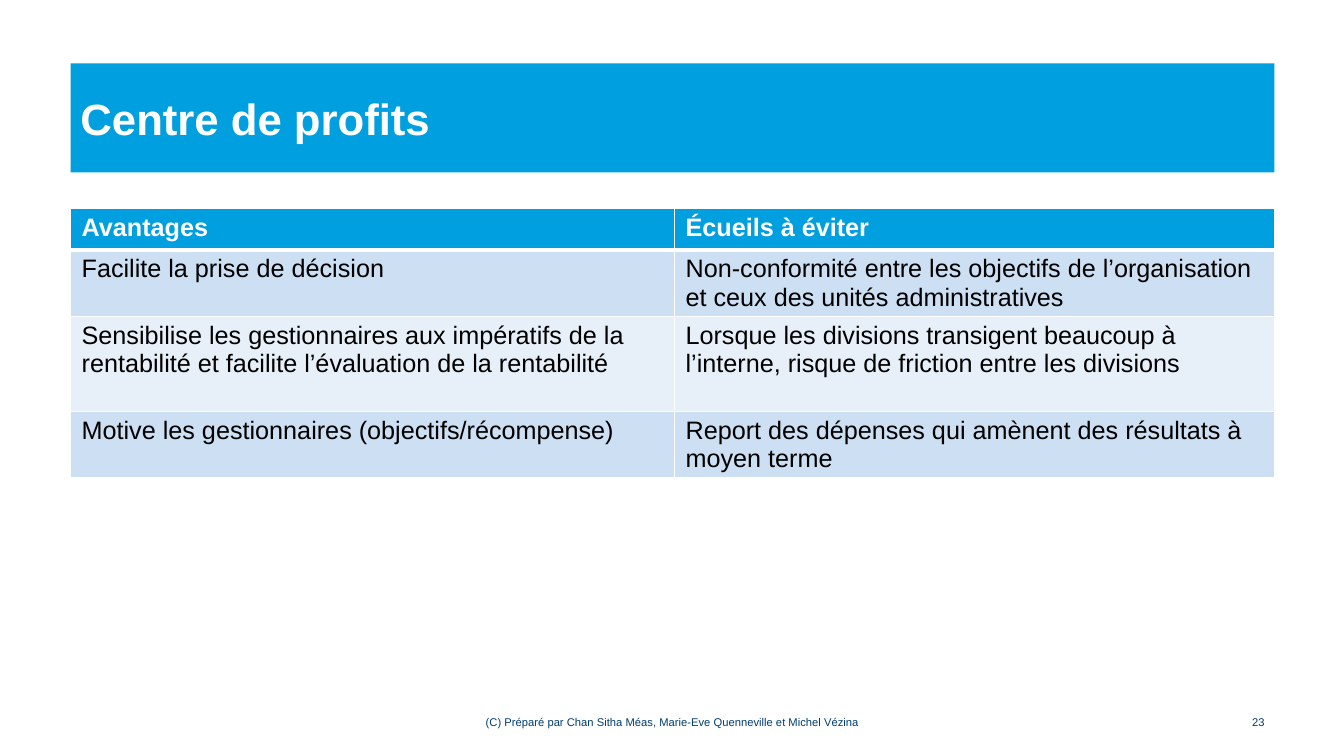
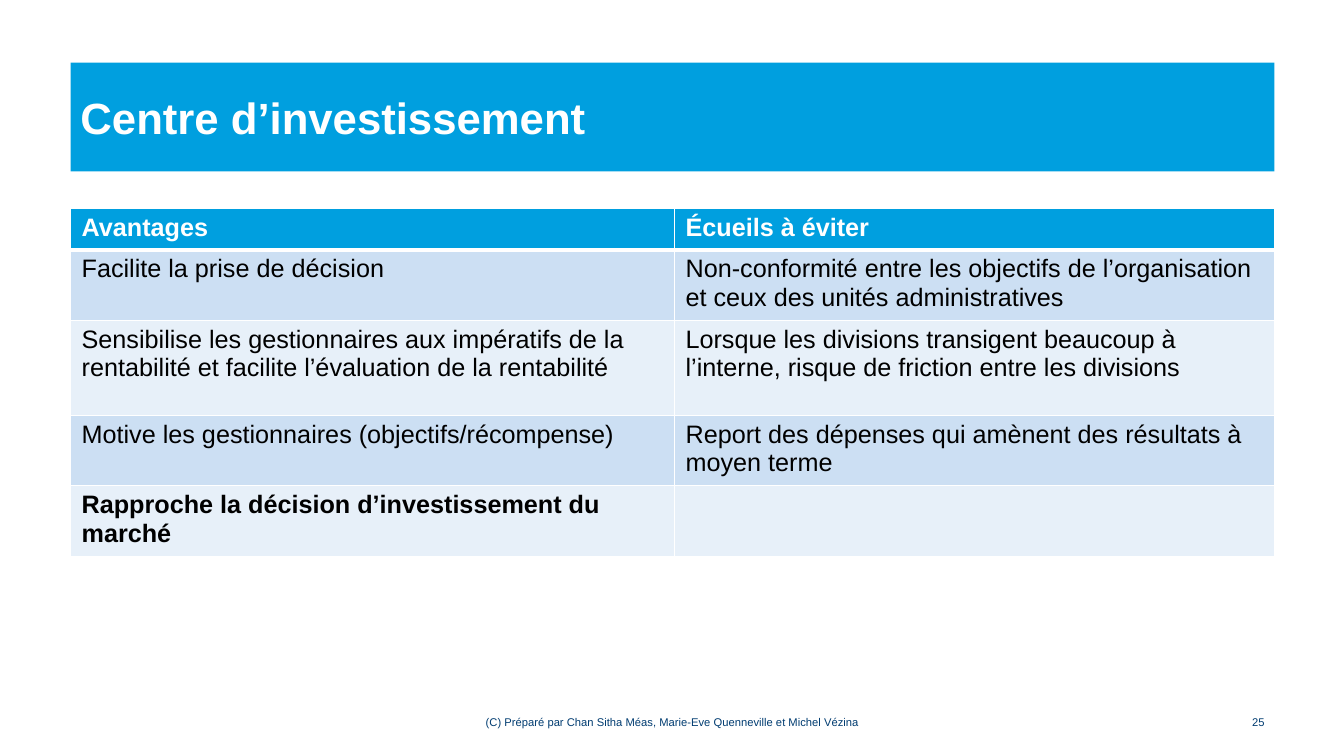
"""Build two slides that compare the advantages and pitfalls of responsibility centres."""
from lxml import etree
from pptx import Presentation
from pptx.dml import color
from pptx.enum import shapes, text
from pptx.oxml import ns
from pptx.util import Inches, Pt

FONT = "Arial"
BLUE, NAVY, WHITE, BLACK = "009FDF", "003C71", "FFFFFF", "000000"
BANDS = ["CCDFF3", "E7F0F9"]
LEFT, WIDTH = 0.7, 11.94
TABLE_TOP = 2.07
COLUMN_WIDTHS = [5.99, 5.95]
ROW_HEIGHTS = [0.41, 0.66, 0.94, 0.66, 0.66]
FOOTER_TOP, FOOTER_HEIGHT = 7.07, 0.18
FOOTER = "(C) Préparé par Chan Sitha Méas, Marie-Eve Quenneville et Michel Vézina"

COMMON_ROWS = [
    ("Avantages", "Écueils à éviter"),
    ("Facilite la prise de décision",
     "Non-conformité entre les objectifs de l’organisation et ceux des unités administratives"),
    ("Sensibilise les gestionnaires aux impératifs de la rentabilité et facilite l’évaluation de la rentabilité",
     "Lorsque les divisions transigent beaucoup à l’interne, risque de friction entre les divisions"),
    ("Motive les gestionnaires (objectifs/récompense)",
     "Report des dépenses qui amènent des résultats à moyen terme"),
]
INVESTMENT_ROW = ("Rapproche la décision d’investissement du marché", "")
SLIDES = [
    {"title": "Centre de profits", "title_top": 0.63, "number": "23", "rows": COMMON_ROWS},
    {"title": "Centre d’investissement", "title_top": 0.62, "number": "25",
     "rows": COMMON_ROWS + [INVESTMENT_ROW]},
]


def rgb(value):
    return color.RGBColor.from_string(value)


def write(frame, words, size, ink, bold=False, align=text.PP_ALIGN.LEFT):
    frame.word_wrap = True
    paragraph = frame.paragraphs[0]
    paragraph.alignment = align
    paragraph.font.size = Pt(size)
    if words:
        run = paragraph.add_run()
        run.text = words
        run.font.name, run.font.size, run.font.bold = FONT, Pt(size), bold
        run.font.color.rgb = rgb(ink)


def add_title(slide, words, top):
    band = slide.shapes.add_shape(shapes.MSO_SHAPE.RECTANGLE, Inches(LEFT), Inches(top),
                                  Inches(WIDTH), Inches(1.08))
    band.shadow.inherit = False
    band.fill.solid()
    band.fill.fore_color.rgb = rgb(BLUE)
    band.line.fill.background()
    band.text_frame.vertical_anchor = text.MSO_ANCHOR.MIDDLE
    write(band.text_frame, words, 31.2, WHITE, bold=True)


def add_border(cell, side, points):
    properties = cell._tc.get_or_add_tcPr()
    line = etree.SubElement(properties, ns.qn(f"a:ln{side}"), w=str(Pt(points)))
    fill = etree.SubElement(line, ns.qn("a:solidFill"))
    etree.SubElement(fill, ns.qn("a:srgbClr"), val=WHITE)


def style_cell(cell, words, row):
    header = row == 0
    cell.margin_left = cell.margin_right = Inches(0.11)
    cell.margin_top = cell.margin_bottom = Inches(0.05)
    thickness = {"L": 1, "R": 1, "T": 3 if row == 1 else 1, "B": 3 if header else 1}
    for side, points in thickness.items():
        add_border(cell, side, points)
    cell.fill.solid()
    cell.fill.fore_color.rgb = rgb(BLUE if header else BANDS[(row - 1) % 2])
    bold = header or row == len(COMMON_ROWS)
    write(cell.text_frame, words, 18, WHITE if header else BLACK, bold)


def add_comparison(slide, rows):
    heights = ROW_HEIGHTS[:len(rows)]
    table = slide.shapes.add_table(len(rows), len(COLUMN_WIDTHS), Inches(LEFT), Inches(TABLE_TOP),
                                   Inches(WIDTH), Inches(sum(heights))).table
    for column, width in zip(table.columns, COLUMN_WIDTHS):
        column.width = Inches(width)
    for index, (row, height) in enumerate(zip(rows, heights)):
        table.rows[index].height = Inches(height)
        for column, words in enumerate(row):
            style_cell(table.cell(index, column), words, index)


def add_footer(slide, words, left, width, align):
    box = slide.shapes.add_textbox(Inches(left), Inches(FOOTER_TOP), Inches(width), Inches(FOOTER_HEIGHT))
    box.text_frame.vertical_anchor = text.MSO_ANCHOR.MIDDLE
    write(box.text_frame, words, 8, NAVY, align=align)


def main():
    presentation = Presentation()
    presentation.slide_width, presentation.slide_height = Inches(13.33), Inches(7.5)
    for content in SLIDES:
        slide = presentation.slides.add_slide(presentation.slide_layouts[6])
        add_title(slide, content["title"], content["title_top"])
        add_comparison(slide, content["rows"])
        add_footer(slide, FOOTER, 4.56, 4.22, text.PP_ALIGN.CENTER)
        add_footer(slide, content["number"], 11.96, 0.68, text.PP_ALIGN.RIGHT)
    presentation.save("out.pptx")


if __name__ == "__main__":
    main()
